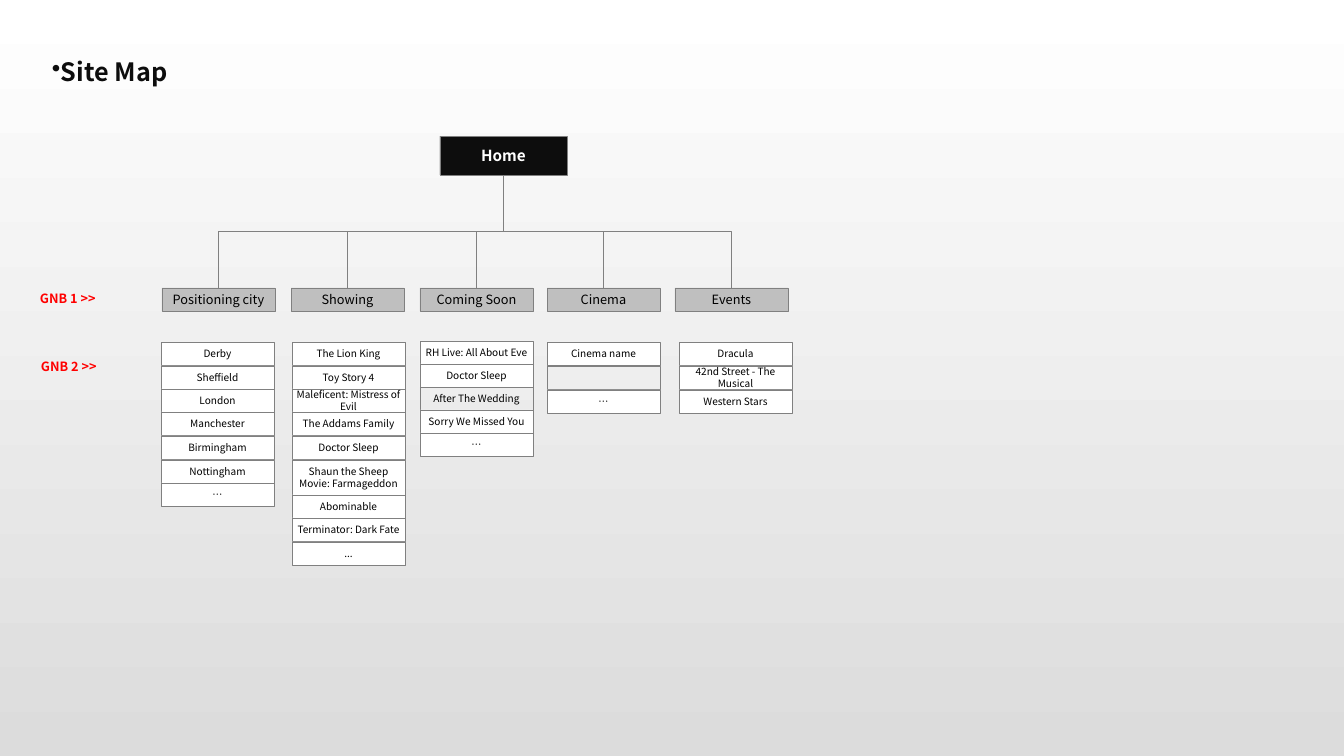
from lxml import etree
from pptx import Presentation
from pptx.dml.color import RGBColor
from pptx.enum.shapes import MSO_CONNECTOR, MSO_SHAPE
from pptx.enum.text import MSO_ANCHOR, MSO_AUTO_SIZE, PP_ALIGN
from pptx.oxml.ns import qn
from pptx.util import Emu, Pt

RECTANGLE = MSO_SHAPE.RECTANGLE
ELBOW = MSO_CONNECTOR.ELBOW
MIDDLE = MSO_ANCHOR.MIDDLE
CENTER, LEFT = PP_ALIGN.CENTER, PP_ALIGN.LEFT
GROW = MSO_AUTO_SIZE.SHAPE_TO_FIT_TEXT

EMU_PER_PIXEL = 914400 / 100.8
TOP_SITE, BOTTOM_SITE = 0, 2
COLORS = {
    "sky": "FFFFFF", "ground": "DCDCDC", "ink": "0D0D0D", "white": "FFFFFF",
    "black": "000000", "tab": "BFBFBF", "line": "808080", "level": "FF0000",
}


def px(value):
    return Emu(round(value * EMU_PER_PIXEL))


def rgb(name):
    return RGBColor.from_string(COLORS[name])


class SiteMap:
    font = "Noto Sans CJK KR"
    line_width = Pt(0.25)
    inset = (4, 5, 4, 5)

    def __init__(self, slide):
        self.slide = slide

    def background(self, top, bottom):
        fill = self.slide.background.fill
        fill.gradient()
        fill.gradient_angle = 270
        for stop, color in zip(fill.gradient_stops, (top, bottom)):
            stop.color.rgb = rgb(color)

    def set_text(self, frame, text, size, color, bold, align, inset):
        (frame.margin_left, frame.margin_top,
         frame.margin_right, frame.margin_bottom) = map(px, inset)
        paragraph = frame.paragraphs[0]
        paragraph.text = text
        paragraph.alignment = align
        font = paragraph.font
        font.name, font.size, font.bold = self.font, Pt(size), bold
        font.color.rgb = rgb(color)
        return paragraph

    def box(self, x, y, w, h, text, fill, size, color="black", bold=False):
        shape = self.slide.shapes.add_shape(RECTANGLE, px(x), px(y), px(w), px(h))
        shape.shadow.inherit = False
        if fill:
            shape.fill.solid()
            shape.fill.fore_color.rgb = rgb(fill)
        else:
            shape.fill.background()
        shape.line.color.rgb = rgb("line")
        shape.line.width = self.line_width
        if text:
            frame = shape.text_frame
            frame.word_wrap = True
            frame.vertical_anchor = MIDDLE
            self.set_text(frame, text, size, color, bold, CENTER, self.inset)
        return shape

    def label(self, x, y, w, h, text, size, color, inset=inset):
        frame = self.slide.shapes.add_textbox(px(x), px(y), px(w), px(h)).text_frame
        frame.word_wrap = False
        frame.auto_size = GROW
        return self.set_text(frame, text, size, color, True, LEFT, inset)

    def heading(self, x, y, w, h, text, size, color):
        paragraph = self.label(x, y, w, h, text, size, color, (10, 5, 10, 5))
        paragraph.space_before = paragraph.space_after = Pt(1.8)
        properties = paragraph._p.get_or_add_pPr()
        properties.set("marL", "0")
        properties.set("indent", "0")
        bullet = etree.Element(qn("a:buChar"), char="•")
        properties.find(qn("a:defRPr")).addprevious(bullet)

    def branch(self, child, parent):
        """Elbow from the top of child to the bottom of parent."""
        child_x = child.left + child.width // 2
        parent_x = parent.left + parent.width // 2
        parent_y = parent.top + parent.height
        rise, run = child.top - parent_y, parent_x - child_x
        middle_x, middle_y = (child_x + parent_x) // 2, (child.top + parent_y) // 2
        link = self.slide.shapes.add_connector(ELBOW, 0, 0, 0, 0)
        link.begin_connect(child, TOP_SITE)
        link.end_connect(parent, BOTTOM_SITE)
        # The elbow bends sideways by nature, so it is laid out turned by 270 degrees
        link.begin_x, link.end_x = middle_x - rise // 2, middle_x + rise // 2
        link.begin_y, link.end_y = middle_y - run // 2, middle_y + run // 2
        properties = link._element.spPr
        properties.find(qn("a:xfrm")).set("rot", str(270 * 60000))
        link.line.color.rgb = rgb("line")
        link.line.width = self.line_width
        etree.SubElement(properties, qn("a:effectLst"))


prs = Presentation()
prs.slide_width, prs.slide_height = px(1344), px(756)
site = SiteMap(prs.slides.add_slide(prs.slide_layouts[6]))
site.background("sky", "ground")

# Heading and level labels
site.heading(42, 51, 152, 40, "Site Map", 18, "ink")
site.label(36, 286, 70, 26, "GNB 1 >>", 9.1, "level")
site.label(37, 354, 70, 25, "GNB 2 >>", 9.1, "level")

# Home page
home = site.box(440, 136, 127, 39, "Home", "ink", 10.9, "white", True)

# Sections: tab name, tab left, list left, list top, row pitch, pages
SECTIONS = [
    ("Positioning city", 162, 161, 342, 23.5,
     ["Derby", "Sheffield", "London", "Manchester", "Birmingham", "Nottingham", "…"]),
    ("Showing", 291, 292, 342, 23.5,
     ["The Lion King", "Toy Story 4", "Maleficent: Mistress of Evil",
      "The Addams Family", "Doctor Sleep", "Shaun the Sheep Movie: Farmageddon",
      "Abominable", "Terminator: Dark Fate", "..."]),
    ("Coming Soon", 420, 420, 341, 23,
     ["RH Live: All About Eve", "Doctor Sleep", "After The Wedding",
      "Sorry We Missed You", "…"]),
    ("Cinema", 547, 547, 342, 24, ["Cinema name", "", "…"]),
    ("Events", 675, 679, 342, 24,
     ["Dracula", "42nd Street - The Musical", "Western Stars"]),
]
UNFILLED = {"", "After The Wedding"}
EXTRA_HEIGHT = {"Shaun the Sheep Movie: Farmageddon": 12}
COLUMN_WIDTH, ROW_HEIGHT = 113, 23

for name, tab_x, list_x, list_y, pitch, pages in SECTIONS:
    tab = site.box(tab_x, 288, COLUMN_WIDTH, ROW_HEIGHT, name, "tab", 9.1)
    site.branch(tab, home)
    shift = 0
    for row, page in enumerate(pages):
        extra = EXTRA_HEIGHT.get(page, 0)
        site.box(list_x, list_y + round(row * pitch) + shift, COLUMN_WIDTH,
                 ROW_HEIGHT + extra, page, None if page in UNFILLED else "white", 7.2)
        shift += extra

prs.save("out.pptx")
